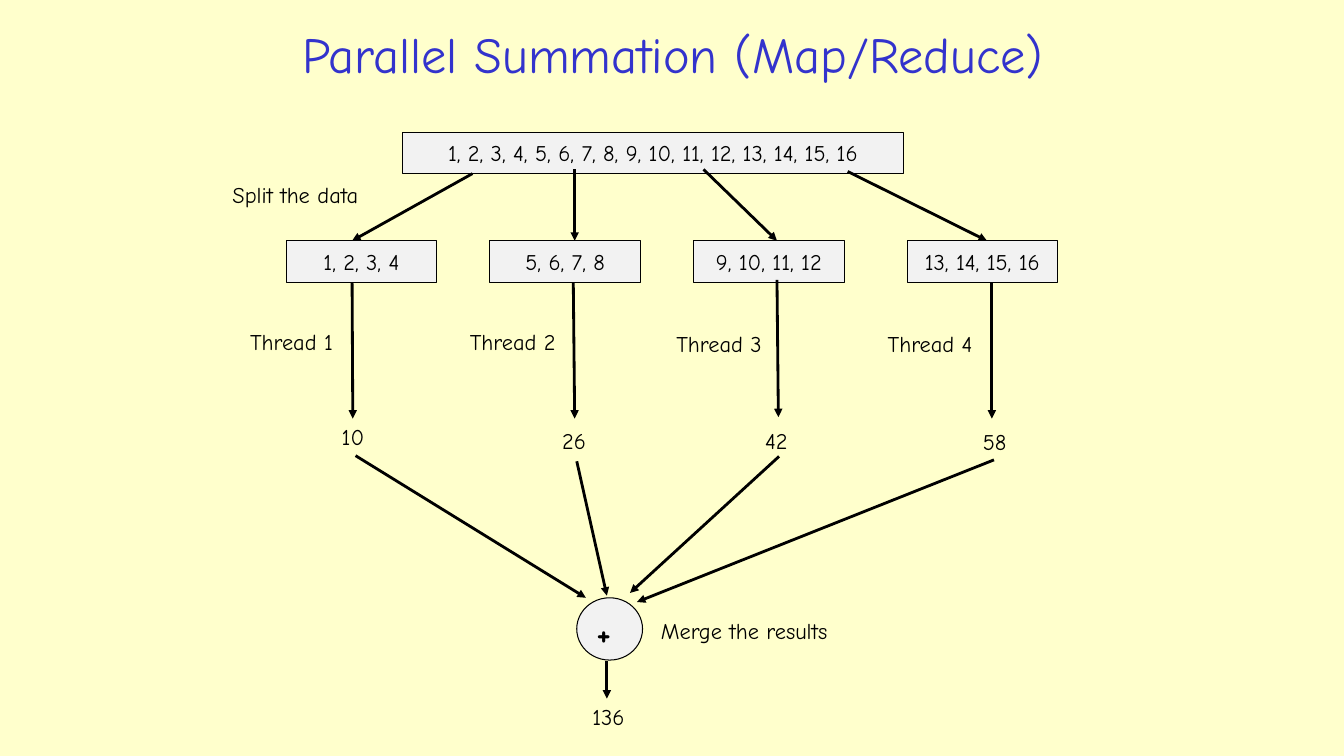
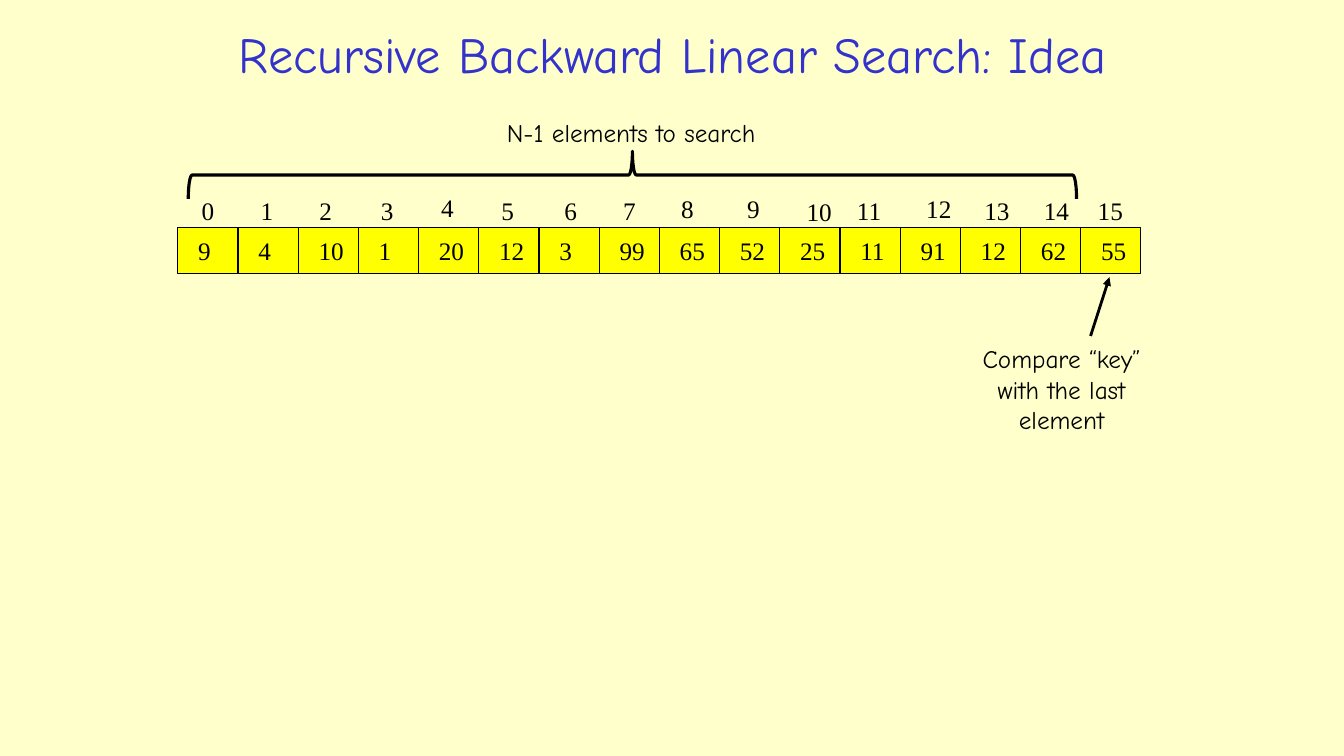
from dataclasses import dataclass
from typing import Any, NamedTuple

import lxml.etree
import pptx
import pptx.dml.color
import pptx.enum.shapes
import pptx.enum.text
import pptx.oxml.ns
import pptx.slide
import pptx.text.text
import pptx.util

Pt = pptx.util.Pt
Color = pptx.dml.color.RGBColor
Align = pptx.enum.text.PP_ALIGN
Anchor = pptx.enum.text.MSO_ANCHOR
AutoSize = pptx.enum.text.MSO_AUTO_SIZE
ShapeKind = pptx.enum.shapes.MSO_SHAPE


class Point(NamedTuple):
    x: float
    y: float


class Box(NamedTuple):
    left: float
    top: float
    width: float
    height: float

    def lengths(self) -> list[pptx.util.Length]:
        return [Pt(value) for value in self]


class Arrow(NamedTuple):
    start: Point
    end: Point


class Thread(NamedTuple):
    numbers: str
    box_left: float
    label: Box
    total: str
    total_box: Box
    split: Arrow
    work: Arrow
    merge: Arrow


class Element(NamedTuple):
    """An array element; its index stands at index_left, index_top."""
    value: int
    index_left: float
    index_top: float


@dataclass(frozen=True)
class TextStyle:
    font: str
    size: float
    color: Color
    bold: bool = False
    alignment: Any = Align.LEFT


@dataclass(frozen=True)
class Theme:
    background: Color
    panel: Color
    cell: Color
    ink: Color
    outline: float
    arrow: float
    brace: float
    title: TextStyle
    label: TextStyle
    panel_text: TextStyle
    plus: TextStyle
    digits: TextStyle
    caption: TextStyle
    note: TextStyle


HAND = "Comic Neue"
INK = Color(0, 0, 0)
THEME = Theme(
    background=Color(0xFF, 0xFF, 0xCC),
    panel=Color(0xF2, 0xF2, 0xF2),
    cell=Color(0xFF, 0xFF, 0),
    ink=INK,
    outline=0.75,
    arrow=2,
    brace=2.25,
    title=TextStyle(HAND, 36, Color(0x33, 0x33, 0xCC), alignment=Align.CENTER),
    label=TextStyle(HAND, 16, INK),
    panel_text=TextStyle(HAND, 16, INK, alignment=Align.CENTER),
    plus=TextStyle(HAND, 24, INK, bold=True),
    digits=TextStyle("Times New Roman", 18, INK),
    caption=TextStyle(HAND, 18, INK),
    note=TextStyle(HAND, 18, INK, alignment=Align.CENTER),
)

SLIDE_WIDTH, SLIDE_HEIGHT = 960, 540
TITLE_BOX = Box(132.5, 11, 696, 54.5)
TITLE_ONLY_LAYOUT = 5

PANEL_HEIGHT = 29.5
THREAD_TOP, THREAD_WIDTH = 172, 107.5
LABEL_HEIGHT = 26.5
THREADS = [
    Thread("1, 2, 3, 4", 204.5, Box(171.5, 230.5, 81.5, LABEL_HEIGHT),
           "10", Box(237, 299, 31.5, LABEL_HEIGHT),
           Arrow(Point(337.5, 124), Point(251.5, 172)),
           Arrow(Point(251.5, 201.5), Point(252, 299)),
           Arrow(Point(254, 325.5), Point(418.5, 427))),
    Thread("5, 6, 7, 8", 350, Box(328.5, 230.5, 84, LABEL_HEIGHT),
           "26", Box(394.5, 301.5, 34.5, LABEL_HEIGHT),
           Arrow(Point(410.5, 121), Point(410.5, 172)),
           Arrow(Point(409.5, 201.5), Point(410.5, 299)),
           Arrow(Point(412, 329.5), Point(433.5, 425.5))),
    Thread("9, 10, 11, 12", 495.5, Box(476, 232, 84, LABEL_HEIGHT),
           "42", Box(539.5, 301.5, 34.5, LABEL_HEIGHT),
           Arrow(Point(502.5, 121), Point(555, 172)),
           Arrow(Point(555, 200), Point(556, 298)),
           Arrow(Point(556.5, 326), Point(450, 423.5))),
    Thread("13, 14, 15, 16", 648, Box(627, 232.5, 84, LABEL_HEIGHT),
           "58", Box(695, 302.5, 34.5, LABEL_HEIGHT),
           Arrow(Point(605.5, 122.5), Point(705, 172)),
           Arrow(Point(708.5, 201.5), Point(708.5, 299)),
           Arrow(Point(710, 328.5), Point(455, 430))),
]

CELL_LEFT, CELL_TOP, CELL_WIDTH, CELL_HEIGHT = 127, 162.5, 43, 33
CELL_TEXT_INSET = 14.5
INDEX_HEIGHT = 29
ELEMENTS = [
    Element(9, 137, 136), Element(4, 179, 136),
    Element(10, 221, 136), Element(1, 265, 136),
    Element(20, 308, 134), Element(12, 351, 136),
    Element(3, 396, 136), Element(99, 438, 136),
    Element(65, 479.5, 134.5), Element(52, 526.5, 134.5),
    Element(25, 569, 137), Element(11, 605, 136),
    Element(91, 654.5, 134.5), Element(12, 696, 136),
    Element(62, 738.5, 136), Element(55, 777, 136),
]
BRACE_BOX = Box(134.5, 108, 634.5, 34)


def apply_format(target: Any, values: dict[str, Any]) -> None:
    for name, value in values.items():
        setattr(target, name, value)


def write_text(frame: pptx.text.text.TextFrame, text: str, style: TextStyle,
               **frame_format: Any) -> None:
    apply_format(frame, frame_format)
    paragraph = frame.paragraphs[0]
    paragraph.alignment = style.alignment
    run = paragraph.add_run()
    run.text = text
    apply_format(run.font, {
        "name": style.font, "size": Pt(style.size), "bold": style.bold})
    run.font.color.rgb = style.color


def add_titled_slide(presentation: Any, title: str) -> pptx.slide.Slide:
    layout = presentation.slide_layouts[TITLE_ONLY_LAYOUT]
    slide = presentation.slides.add_slide(layout)
    shape = slide.shapes.title
    apply_format(shape, dict(zip(Box._fields, TITLE_BOX.lengths())))
    write_text(shape.text_frame, title, THEME.title, word_wrap=True,
               auto_size=AutoSize.NONE, vertical_anchor=Anchor.MIDDLE)
    return slide


def add_label(slide: pptx.slide.Slide, box: Box, text: str,
              style: TextStyle, wrap: bool = False) -> None:
    shape = slide.shapes.add_textbox(*box.lengths())
    write_text(shape.text_frame, text, style, word_wrap=wrap,
               auto_size=AutoSize.SHAPE_TO_FIT_TEXT)


def add_panel(slide: pptx.slide.Slide, box: Box, text: str, style: TextStyle,
              fill: Color, kind: Any = ShapeKind.RECTANGLE,
              **frame_format: Any) -> None:
    """Add an outlined, filled shape with text in it."""
    shape = slide.shapes.add_shape(kind, *box.lengths())
    shape.shadow.inherit = False
    shape.fill.solid()
    shape.fill.fore_color.rgb = fill
    shape.line.color.rgb = THEME.ink
    shape.line.width = Pt(THEME.outline)
    write_text(shape.text_frame, text, style, **frame_format)


def add_arrow(slide: pptx.slide.Slide, arrow: Arrow) -> None:
    ends = [Pt(value) for point in arrow for value in point]
    connector = slide.shapes.add_connector(
        pptx.enum.shapes.MSO_CONNECTOR.STRAIGHT, *ends)
    connector.line.color.rgb = THEME.ink
    connector.line.width = Pt(THEME.arrow)
    qn = pptx.oxml.ns.qn
    properties = connector._element.spPr
    line = properties.find(qn("a:ln"))
    lxml.etree.SubElement(line, qn("a:tailEnd"), type="triangle")
    lxml.etree.SubElement(properties, qn("a:effectLst"))


def add_top_brace(slide: pptx.slide.Slide, box: Box) -> None:
    """Add a brace that fills box and points up: a right brace turned left."""
    turned = Box(box.left + (box.width - box.height) / 2,
                 box.top + (box.height - box.width) / 2,
                 box.height, box.width)
    brace = slide.shapes.add_shape(ShapeKind.RIGHT_BRACE, *turned.lengths())
    brace.rotation = 270
    brace.adjustments[0] = 0.08
    brace.shadow.inherit = False
    brace.fill.background()
    brace.line.color.rgb = THEME.ink
    brace.line.width = Pt(THEME.brace)


def build_summation(presentation: Any) -> None:
    slide = add_titled_slide(presentation, "Parallel Summation (Map/Reduce)")
    panels = [(Box(287.5, 94.5, 358, PANEL_HEIGHT),
               ", ".join(thread.numbers for thread in THREADS))]
    panels += [(Box(thread.box_left, THREAD_TOP, THREAD_WIDTH, PANEL_HEIGHT),
                thread.numbers) for thread in THREADS]
    for box, numbers in panels:
        add_panel(slide, box, numbers, THEME.panel_text, THEME.panel,
                  word_wrap=False, vertical_anchor=Anchor.MIDDLE)
    add_panel(slide, Box(412, 427, 47, 44.5), "+", THEME.plus, THEME.panel,
              ShapeKind.OVAL, word_wrap=True, vertical_anchor=Anchor.TOP)

    for number, thread in enumerate(THREADS, start=1):
        add_label(slide, thread.label, f"Thread {number}", THEME.label)
        add_label(slide, thread.total_box, thread.total, THEME.label)
        for arrow in (thread.split, thread.work, thread.merge):
            add_arrow(slide, arrow)

    add_arrow(slide, Arrow(Point(433.5, 472.5), Point(433.5, 499)))
    for box, text in (
        (Box(159, 125.5, 119.5, LABEL_HEIGHT), "Split the data"),
        (Box(465, 437, 151, LABEL_HEIGHT), "Merge the results"),
        (Box(416, 499, 42, LABEL_HEIGHT), "136"),
    ):
        add_label(slide, box, text, THEME.label)


def build_search(presentation: Any) -> None:
    slide = add_titled_slide(
        presentation, "Recursive Backward Linear Search: Idea")
    for index, element in enumerate(ELEMENTS):
        cell = Box(CELL_LEFT + index * CELL_WIDTH, CELL_TOP,
                   CELL_WIDTH, CELL_HEIGHT)
        add_panel(slide, cell, str(element.value), THEME.digits, THEME.cell,
                  word_wrap=True, vertical_anchor=Anchor.MIDDLE,
                  margin_left=Pt(CELL_TEXT_INSET), margin_right=Pt(0))
        index_width = 24 if index < 10 else 32.5
        add_label(slide, Box(element.index_left, element.index_top,
                             index_width, INDEX_HEIGHT),
                  str(index), THEME.digits)

    add_top_brace(slide, BRACE_BOX)
    add_label(slide, Box(355, 80.5, 229.5, 29), "N-1 elements to search",
              THEME.caption, wrap=True)
    add_arrow(slide, Arrow(Point(779, 240), Point(792.5, 198)))
    add_label(slide, Box(685.5, 242, 145.5, 72.5),
              "Compare “key” with the last element", THEME.note, wrap=True)


def main() -> None:
    presentation = pptx.Presentation()
    presentation.slide_width = Pt(SLIDE_WIDTH)
    presentation.slide_height = Pt(SLIDE_HEIGHT)
    background = presentation.slide_master.background.fill
    background.solid()
    background.fore_color.rgb = THEME.background
    build_summation(presentation)
    build_search(presentation)
    presentation.save("out.pptx")


if __name__ == "__main__":
    main()
